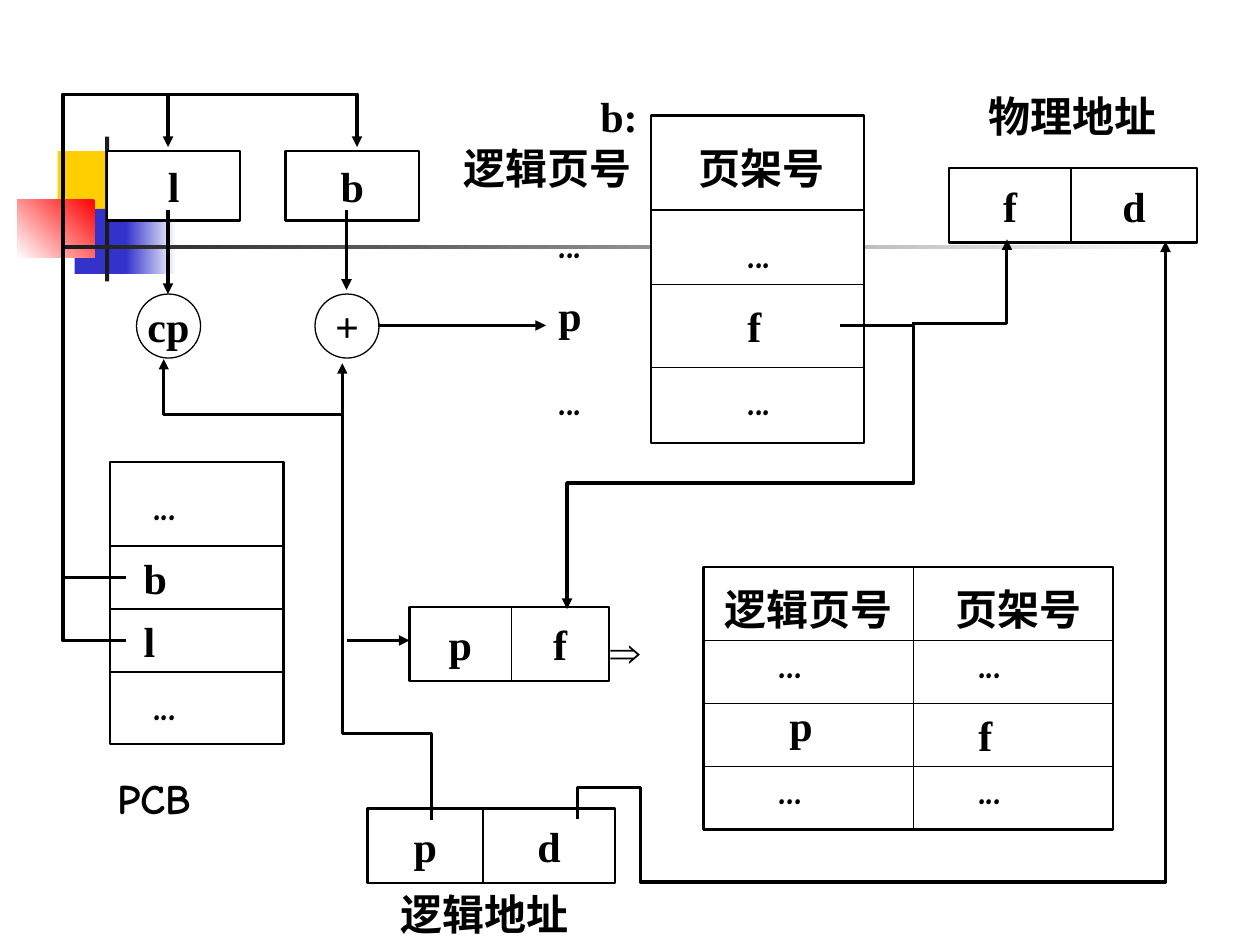
from dataclasses import dataclass, field
from lxml.etree import SubElement
from pptx import Presentation
from pptx.dml.color import RGBColor
from pptx.enum.shapes import MSO_CONNECTOR as Link, MSO_SHAPE as Preset
from pptx.enum.text import MSO_ANCHOR as Anchor, MSO_AUTO_SIZE as Fit, PP_ALIGN as Align
from pptx.oxml.ns import qn
from pptx.util import Inches, Pt

COLUMNS, ROWS = 120, 90
SERIF, ROUND, SANS = "Times New Roman", "Comic Neue", "Arial"


def color(value):
    return RGBColor.from_string(value)


def assign(target, values):
    for name, value in values.items():
        setattr(target, name, value)


@dataclass
class Diagram:
    deck: object
    ink: str = "000000"
    paper: str = "FFFFFF"
    font: dict = field(default_factory=lambda: {"size": Pt(24), "bold": True})

    def __post_init__(self):
        self.slide = self.deck.slides.add_slide(self.deck.slide_layouts[6])
        self.shapes = self.slide.shapes

    def x(self, columns):
        return round(self.deck.slide_width * columns / COLUMNS)

    def y(self, rows):
        return round(self.deck.slide_height * rows / ROWS)

    def area(self, left, top, width, height):
        return self.x(left), self.y(top), self.x(width), self.y(height)

    def stroke(self, line, weight):
        line.color.rgb = color(self.ink)
        line.width = Pt(weight)

    def arrowhead(self, line):
        SubElement(line._get_or_add_ln(), qn("a:tailEnd"), type="triangle")

    def caption(self, shape, text, font, align, frame_format):
        assign(shape.text_frame, frame_format)
        paragraph = shape.text_frame.paragraphs[0]
        paragraph.alignment = align
        run = paragraph.add_run()
        run.text = text
        assign(run.font, {**self.font, "name": font})
        run.font.color.rgb = color(self.ink)

    def block(self, area, start, end=None, angle=0):
        shape = self.shapes.add_shape(Preset.RECTANGLE, *self.area(*area))
        shape.shadow.inherit = False
        shape.line.fill.background()
        if end is None:
            shape.fill.solid()
            shape.fill.fore_color.rgb = color(start)
            return
        shape.fill.gradient()
        shape.fill.gradient_angle = angle
        for stop, value in zip(shape.fill.gradient_stops, (start, end)):
            stop.color.rgb = color(value)

    def node(self, area, text="", preset=Preset.RECTANGLE, weight=1.25):
        shape = self.shapes.add_shape(preset, *self.area(*area))
        shape.shadow.inherit = False
        shape.fill.solid()
        shape.fill.fore_color.rgb = color(self.paper)
        self.stroke(shape.line, weight)
        if text:
            self.caption(shape, text, SERIF, Align.CENTER,
                         {"word_wrap": False, "vertical_anchor": Anchor.MIDDLE})

    def label(self, area, text, font=SERIF, align=Align.LEFT, frame_format=None):
        box = self.shapes.add_textbox(*self.area(*area))
        self.caption(box, text, font, align, frame_format or
                     {"word_wrap": True, "auto_size": Fit.SHAPE_TO_FIT_TEXT})

    def line(self, start, end, weight=0.75, arrow=False):
        link = self.shapes.add_connector(
            Link.STRAIGHT, self.x(start[0]), self.y(start[1]), self.x(end[0]), self.y(end[1]))
        self.stroke(link.line, weight)
        if arrow:
            self.arrowhead(link.line)
        SubElement(link._element.spPr, qn("a:effectLst"))

    def grid(self, area, rows=(), columns=(), weight=0.75):
        left, top, width, height = area
        self.node(area)
        for row in rows:
            self.line((left, row), (left + width, row), weight)
        for column in columns:
            self.line((column, top), (column, top + height), weight)

    def pair(self, area, divider, first, second, weight=0.75):
        left, top, width, height = area
        self.grid(area, columns=[divider], weight=weight)
        centred = {"word_wrap": False, "vertical_anchor": Anchor.MIDDLE}
        for start, end, text in ((left, divider, first), (divider, left + width, second)):
            self.label((start, top, end - start, height), text, SERIF, Align.CENTER, centred)

    def wire(self, *points, weight=2):
        start, *rest = [(self.x(column), self.y(row)) for column, row in points]
        builder = self.shapes.build_freeform(*start)
        builder.add_line_segments(rest, close=False)
        shape = builder.convert_to_shape()
        shape.shadow.inherit = False
        shape.fill.background()
        self.stroke(shape.line, weight)
        self.arrowhead(shape.line)


def main():
    deck = Presentation()
    deck.slide_width, deck.slide_height = Inches(10), Inches(7.5)
    diagram = Diagram(deck)

    for ornament in (
        ((5.5, 14.4, 5.8, 6.2), "FFCF01"),
        ((10.6, 14.4, 4.3, 6.2), "FFCF01", "FFFFFF"),
        ((7.1, 19.9, 5.5, 6.2), "3333CC"),
        ((12, 19.9, 4.8, 6.2), "3333CC", "FFFFFF"),
        ((1.65, 19, 7.4, 5.55), "FF0000", "FFFFFF", 225),
        ((10, 13, 0.4, 13.8), "1C1C1C"),
        ((5.8, 23.35, 108, 0.4), "1C1C1C", "FFFFFF"),
    ):
        diagram.block(*ornament)

    diagram.grid((67, 54, 39, 25), rows=(61, 67, 73), columns=[87])
    diagram.grid((10.45, 44, 16.55, 26.9), rows=(52, 58, 64))
    diagram.grid((62, 11, 20.3, 31.2), rows=(20, 27.1, 35))
    diagram.pair((90.4, 16, 23.6, 7.1), 102, "f", "d")
    diagram.pair((35, 77, 23.6, 7.1), 46, "p", "d", weight=1.25)
    diagram.pair((39, 57.85, 19, 7), 48.7, "p", "f")
    for left, register in ((10.2, "l"), (27.2, "b")):
        diagram.node((left, 14.4, 12.7, 6.6), register)
    for left, operation in ((13, "cp"), (30, "+")):
        diagram.node((left, 28, 6.1, 6.1), operation, Preset.OVAL, 0.75)

    for left, top, width, heading, align in (
        (67, 55, 20, "逻辑页号", Align.CENTER),
        (87, 55, 20, "页架号", Align.CENTER),
        (63, 13, 19, "页架号", Align.CENTER),
        (43, 13, 20, "逻辑页号", Align.LEFT),
        (93, 8, 20, "物理地址", Align.LEFT),
        (37, 84, 20, "逻辑地址", Align.LEFT),
    ):
        diagram.label((left, top, width, 6), heading, align=align)
    for left, top, value in (
        (74, 66, "p"), (92, 67, "f"), (12.5, 52, "b"), (12.5, 58, "l"),
        (70, 28, "f"), (52, 27, "p"), (56, 8, "b:"),
    ):
        diagram.label((left, top, 7, 6), value)
    for left, *tops in ((73, 60, 72), (92, 60, 72), (13.4, 45, 64), (70, 21, 35), (52, 20, 35)):
        for top in tops:
            diagram.label((left, top, 8, 6), "...", ROUND)
    diagram.label((10, 73, 12, 6), "PCB", ROUND)
    diagram.label((57, 59, 5, 6), "⇒", SANS)

    for source_row, register_column in ((55, 34), (61, 16)):
        diagram.wire((12, source_row), (6, source_row), (6, 9),
                     (register_column, 9), (register_column, 14))
    diagram.wire((55, 78), (55, 75), (61, 75), (61, 84), (111, 84), (111, 23))
    diagram.wire((80, 31), (87, 31), (87, 46), (54, 46), (54, 58))
    diagram.wire((41.1, 78.1), (41.1, 69.85), (32.6, 69.85), (32.6, 39.5),
                 (15.6, 39.5), (15.6, 34.2), weight=1.75)
    diagram.wire((86.9, 30.8), (95.9, 30.8), (95.9, 22.8), weight=1.75)
    for start, end, weight in (
        ((33, 61), (39, 61), 2),
        ((33, 20), (33, 27.6), 2),
        ((16, 20), (16, 28), 2),
        ((36, 31), (52, 31), 2),
        ((32.6, 39.4), (32.6, 34.6), 1.75),
    ):
        diagram.line(start, end, weight, arrow=True)

    deck.save("out.pptx")


if __name__ == "__main__":
    main()
